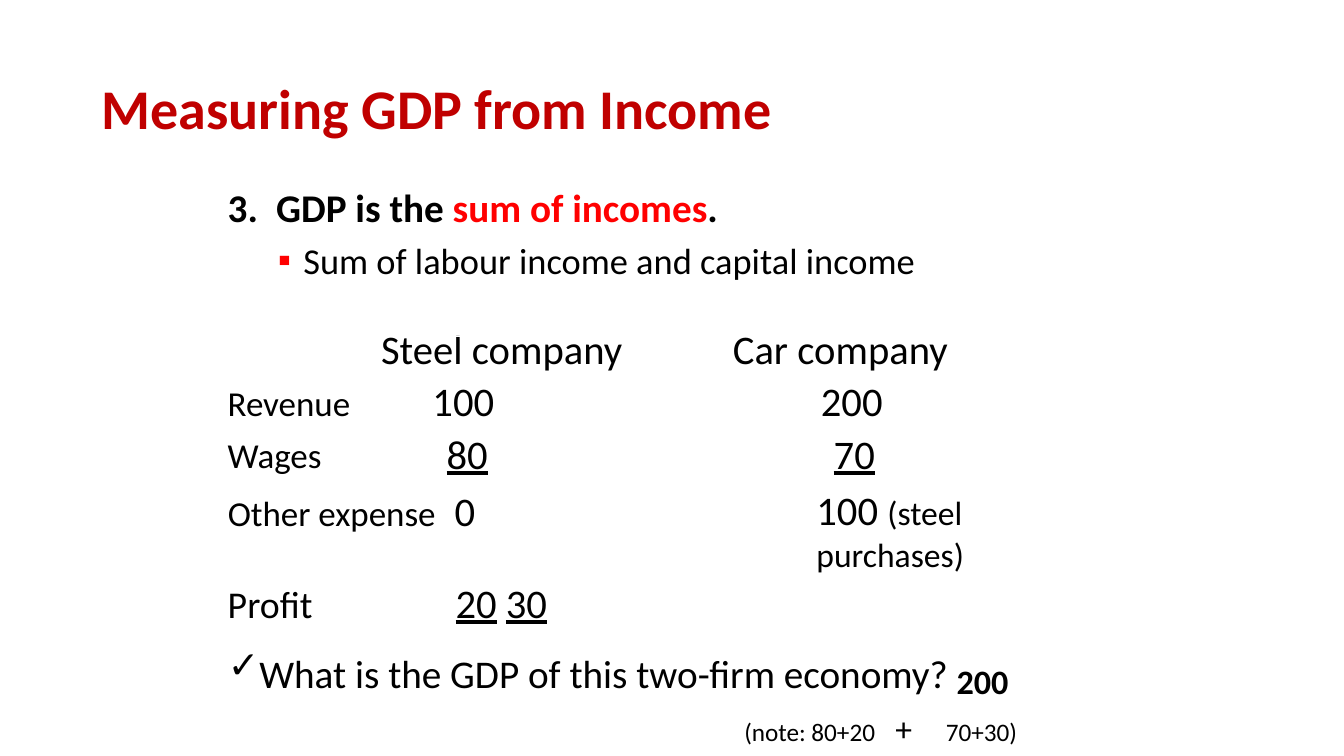
from lxml import etree
from pptx import Presentation
from pptx.dml.color import RGBColor
from pptx.enum.text import MSO_ANCHOR, MSO_AUTO_SIZE, PP_ALIGN
from pptx.oxml.ns import qn
from pptx.util import Pt

LEFT, CENTER, RIGHT = PP_ALIGN.LEFT, PP_ALIGN.CENTER, PP_ALIGN.RIGHT
TOP = MSO_ANCHOR.TOP
GROW = MSO_AUTO_SIZE.SHAPE_TO_FIT_TEXT
BLACK = RGBColor(0, 0, 0)
RED = RGBColor(0xFF, 0, 0)
DARK_RED = RGBColor(0xC0, 0, 0)
FIGURE_SIZE = 29
LABEL_SIZE = 25


class Deck:
    font_name = "Calibri"

    def __init__(self, width, height):
        self.presentation = Presentation()
        self.presentation.slide_width = Pt(width)
        self.presentation.slide_height = Pt(height)
        title_only = self.presentation.slide_layouts[5]
        self.slide = self.presentation.slides.add_slide(title_only)

    def paragraph(self, para, runs, size, color=BLACK, bold=False, underline=None,
                  align=LEFT, left=0, hanging=0, before=0, line=None, level=0,
                  bullet=None, tabs=()):
        """Runs are plain strings or (text, format changes) pairs."""
        para.alignment = align
        para.level = level
        para.space_before = Pt(before)
        if line:
            para.line_spacing = line
        props = para._p.get_or_add_pPr()
        props.set("marL", str(Pt(left)))
        props.set("indent", str(Pt(-hanging)))
        self.bullet(props, **(bullet or {}))
        if tabs:
            stops = etree.SubElement(props, qn("a:tabLst"))
            for stop in tabs:
                etree.SubElement(stops, qn("a:tab"), pos=str(Pt(stop)), algn="l")
        self.font(para.font, size, color, bold, underline)
        para.font.name = self.font_name
        for item in runs:
            text, changes = (item, {}) if isinstance(item, str) else item
            run = para.add_run()
            run.text = text
            self.font(run.font, **changes)

    def bullet(self, props, char=None, start=None, color=None, percent=None):
        if color is not None:
            holder = etree.SubElement(props, qn("a:buClr"))
            etree.SubElement(holder, qn("a:srgbClr"), val=str(color))
        if percent:
            etree.SubElement(props, qn("a:buSzPct"), val=str(percent * 1000))
        if char or start:
            etree.SubElement(props, qn("a:buFont"), typeface=self.font_name)
        if start:
            etree.SubElement(props, qn("a:buAutoNum"), type="arabicPeriod",
                             startAt=str(start))
        elif char:
            etree.SubElement(props, qn("a:buChar"), char=char)
        else:
            etree.SubElement(props, qn("a:buNone"))

    def font(self, font, size=None, color=None, bold=None, underline=None,
             baseline=None):
        if size:
            font.size = Pt(size)
        if color is not None:
            font.color.rgb = color
        if bold is not None:
            font.bold = bold
        if underline is not None:
            font.underline = underline
        if baseline:
            font._element.set("baseline", str(baseline * 1000))

    def fill_frame(self, frame, paragraphs, top_inset):
        frame.margin_left = frame.margin_right = frame.margin_bottom = 0
        frame.margin_top = Pt(top_inset)
        frame.word_wrap = True
        frame.auto_size = GROW
        frame.vertical_anchor = TOP
        for index, options in enumerate(paragraphs):
            para = frame.add_paragraph() if index else frame.paragraphs[0]
            self.paragraph(para, **options)

    def title(self, box, top_inset, **options):
        title = self.slide.shapes.title
        title.left, title.top, title.width, title.height = map(Pt, box)
        self.fill_frame(title.text_frame, [options], top_inset)

    def text(self, box, top_inset, *paragraphs):
        shape = self.slide.shapes.add_textbox(*map(Pt, box))
        self.fill_frame(shape.text_frame, paragraphs, top_inset)

    def table(self, left, top, widths, heights, rows):
        frame = self.slide.shapes.add_table(
            len(heights), len(widths), Pt(left), Pt(top),
            Pt(sum(widths)), Pt(sum(heights)))
        table = frame.table
        table.first_row = table.horz_banding = False
        for column, width in zip(table.columns, widths):
            column.width = Pt(width)
        for row, height, contents in zip(table.rows, heights, rows):
            row.height = Pt(height)
            for cell, options in zip(row.cells, contents):
                cell.fill.background()
                cell.margin_left = cell.margin_right = 0
                cell.margin_top = cell.margin_bottom = 0
                if options:
                    self.paragraph(cell.text_frame.paragraphs[0], **options)


def figure(text, left, line, **options):
    return dict(runs=[text], size=FIGURE_SIZE, left=left, line=Pt(line), **options)


def account_row(label, steel, car, steel_left, car_left, **options):
    return [dict(runs=[label], size=LABEL_SIZE, left=2, before=2.5),
            figure(steel, steel_left, 32, **options),
            figure(car, car_left, 32, align=CENTER, **options)]


deck = Deck(960, 540)

# Title and definition
deck.title((35.3, 19.4, 804.2, 82.1), 33.1, runs=["Measuring GDP from Income"],
           size=40, color=DARK_RED, bold=True, left=37.4, before=1.1)
deck.text((162, 124.6, 520, 77.8), 6.5,
          dict(runs=["GDP is the ", ("sum of incomes", dict(color=RED)), "."],
               size=28, bold=True, left=35.3, hanging=34.6, before=6.7,
               bullet=dict(start=3), tabs=[35.3]),
          dict(runs=["Sum of labour income and capital income"], size=26,
               left=54.7, hanging=18, before=5.2, level=1,
               bullet=dict(char="▪", color=RED), tabs=[54.7]))

# Company accounts
deck.table(160.6, 240.5, [100.8, 222.5, 195.8], [33.1, 37.4, 33.1], [
    [None, figure("Steel company", 10.8, 27.6), figure("Car company", 39.6, 27.6)],
    account_row("Revenue", "100", "200", 47.5, 53.3),
    account_row("Wages", "80", "70", 57.6, 56.9, underline=True),
])

# Other expense and profit
deck.text((162, 345.6, 187.9, 36.7), 7.9,
          dict(runs=["Other expense\t", ("0", dict(size=FIGURE_SIZE))],
               size=LABEL_SIZE, left=18.7, hanging=18, before=8, line=0.8,
               tabs=[172.1]))
deck.text((582.5, 345.6, 203.8, 65.5), 0.7,
          dict(runs=["100 ", ("(steel purchases)", dict(size=24))],
               size=FIGURE_SIZE, left=0.7, before=1))
deck.text((162, 413.3, 62.6, 34.6), 1.4,
          dict(runs=["Profit"], size=27, left=0.7, before=1.1))
deck.text((324.7, 411.8, 340, 36.7), 0.7,
          dict(runs=[("20", dict(underline=True)), "\t", ("30", dict(underline=True))],
               size=FIGURE_SIZE, left=0.7, before=1.1, tabs=[277.2]))

# Question and answer
deck.text((159.1, 441.4, 567.4, 77), 8.6,
          dict(runs=["What is the GDP of this two-firm economy? ",
                     ("200", dict(size=42, bold=True, baseline=-9))],
               size=28, left=25.9, hanging=22.3, before=9,
               bullet=dict(char="✓", percent=96), tabs=[25.9]),
          dict(runs=["(note: 80+20\t", ("+", dict(size=24)), "\t70+30)"],
               size=18, align=RIGHT, before=5, tabs=[105.8, 131.8]))

deck.presentation.save("out.pptx")
